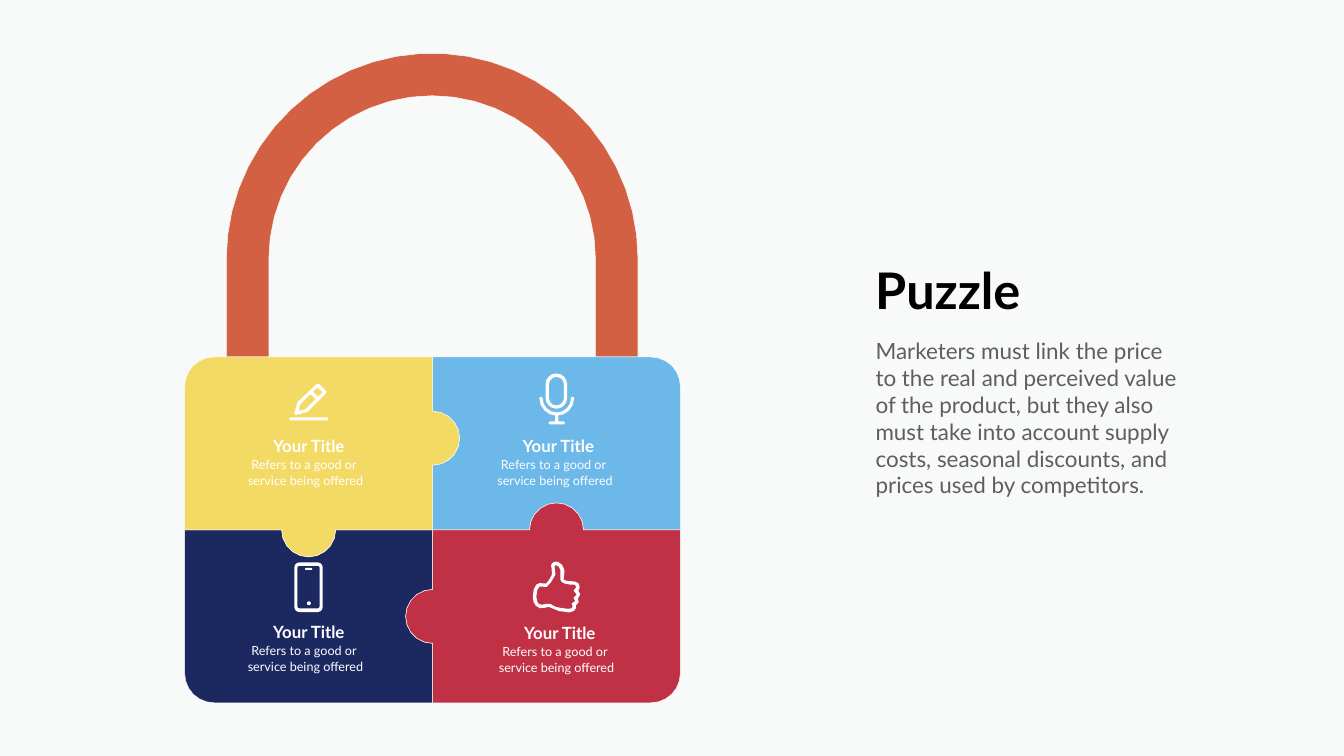
import math

import pptx
import pptx.dml.color
import pptx.enum.shapes
import pptx.enum.text
import pptx.util

Pt = pptx.util.Pt
ALIGN = pptx.enum.text.PP_ALIGN
COLORS = {
    "paper": "F8FAF9", "white": "FFFFFF", "black": "000000", "grey": "5D5E5D",
    "orange": "D36042", "blue": "6BB8E9", "navy": "1C2960",
    "red": "C13145", "yellow": "F3DA65",
}


def rgb(name):
    return pptx.dml.color.RGBColor.from_string(COLORS[name])


def arc(cx, cy, radius, start, end):
    """Points on an arc, within half a point; degrees run clockwise from the right."""
    widest = 2 * math.degrees(math.sqrt(1 / radius))
    steps = max(2, math.ceil(abs(end - start) / widest))
    angles = [math.radians(start + (end - start) * i / steps) for i in range(steps + 1)]
    return [(cx + radius * math.cos(a), cy + radius * math.sin(a)) for a in angles]


def rounded(left, top, width, height, r):
    right, bottom = left + width, top + height
    return (arc(left + r, top + r, r, 180, 270) + arc(right - r, top + r, r, 270, 360)
            + arc(right - r, bottom - r, r, 0, 90) + arc(left + r, bottom - r, r, 90, 180))


def write_text(frame, text, size=18, color="white", bold=False, align=ALIGN.LEFT):
    frame.word_wrap = True
    frame.auto_size = pptx.enum.text.MSO_AUTO_SIZE.NONE
    frame.vertical_anchor = pptx.enum.text.MSO_ANCHOR.TOP
    frame.margin_left = frame.margin_right = Pt(7.2)
    frame.margin_top = frame.margin_bottom = Pt(3.6)
    frame.text = text
    for paragraph in frame.paragraphs:
        paragraph.alignment = align
        paragraph.line_spacing = 1.0
        paragraph.space_before = Pt(0)
        font = paragraph.font
        font.name, font.size, font.bold = "Lato", Pt(size), bold
        font.color.rgb = rgb(color)


class Board:
    def __init__(self, slide):
        self.slide = slide
        slide.background.fill.solid()
        slide.background.fill.fore_color.rgb = rgb("paper")

    def title(self, text, left, top, width, height, **style):
        heading = self.slide.shapes.title
        heading.left, heading.top = Pt(left), Pt(top)
        heading.width, heading.height = Pt(width), Pt(height)
        write_text(heading.text_frame, text, **style)

    def text(self, text, left, top, width, height, **style):
        box = self.slide.shapes.add_textbox(Pt(left), Pt(top), Pt(width), Pt(height))
        write_text(box.text_frame, text, **style)

    def paint(self, shape, fill, line=None, weight=0.75):
        shape.shadow.inherit = False
        if fill:
            shape.fill.solid()
            shape.fill.fore_color.rgb = rgb(fill)
        else:
            shape.fill.background()
        if line:
            shape.line.color.rgb = rgb(line)
            shape.line.width = Pt(weight)
        else:
            shape.line.fill.background()

    def pill(self, left, top, width, height):
        """A bar with fully round ends."""
        bar = self.slide.shapes.add_shape(
            pptx.enum.shapes.MSO_SHAPE.ROUNDED_RECTANGLE,
            Pt(left), Pt(top), Pt(width), Pt(height))
        bar.adjustments[0] = 0.5
        self.paint(bar, "white")

    def outline(self, *contours, fill="white", **line):
        """One closed shape; contours after the first are holes."""
        paths = [[(Pt(x), Pt(y)) for x, y in contour] for contour in contours]
        builder = self.slide.shapes.build_freeform(*paths[0][0], scale=1.0)
        builder.add_line_segments(paths[0][1:], close=True)
        for hole in paths[1:]:
            builder.move_to(*hole[0])
            builder.add_line_segments(hole[1:], close=True)
        self.paint(builder.convert_to_shape(), fill, **line)


def draw_lock(board):
    left, mid_x, right = 263.7, 617.9, 971.7
    top, mid_y, bottom = 510, 757, 1004
    corner, knob = 42, 38.5
    knob_left, knob_right = 440.8, 794.8
    knob_upper, knob_lower = 626, 880.6

    # Shackle
    cx, cy, inner, outer = 617.2, 370, 233.3, 294
    opening = [(cx - inner, top)] + arc(cx, cy, inner, 180, 360) + [(cx + inner, top)]
    shackle = [(cx - outer, top)] + arc(cx, cy, outer, 180, 360) + [(cx + outer, top)]
    board.outline(opening, fill=None, line="white", weight=1.93)
    board.outline(shackle + opening[::-1], fill="orange", line="paper")

    # Puzzle pieces, each traced clockwise
    pieces = {
        "blue": [(mid_x, top)] + arc(right - corner, top + corner, corner, 270, 360)
        + [(right, mid_y)] + arc(knob_right, mid_y, knob, 0, -180)
        + [(mid_x, mid_y)] + arc(mid_x, knob_upper, knob, 90, -90),
        "navy": [(left, mid_y)] + arc(knob_left, mid_y, knob, 180, 0)
        + [(mid_x, mid_y)] + arc(mid_x, knob_lower, knob, 270, 90)
        + [(mid_x, bottom)] + arc(left + corner, bottom - corner, corner, 90, 180),
        "red": [(mid_x, mid_y)] + arc(knob_right, mid_y, knob, 180, 360)
        + [(right, mid_y)] + arc(right - corner, bottom - corner, corner, 0, 90)
        + [(mid_x, bottom)] + arc(mid_x, knob_lower, knob, 90, 270),
        "yellow": arc(left + corner, top + corner, corner, 180, 270)
        + [(mid_x, top)] + arc(mid_x, knob_upper, knob, -90, 90)
        + [(mid_x, mid_y)] + arc(knob_left, mid_y, knob, 0, 180) + [(left, mid_y)],
    }
    for color, piece in pieces.items():
        board.outline(piece, fill=color, line="paper")


def draw_icons(board):
    # Pencil and its line
    pencil = [(423.4, 592.6), (437.8, 589), (439.5, 588.3), (465.8, 561.6), (466.3, 560),
              (465.8, 558.7), (455.8, 548.6), (454, 547.9), (452.2, 548.6),
              (424.8, 574.6), (420.5, 589.7), (421, 591.8)]
    pencil_end = [(453.6, 553.7), (460.8, 560.2), (454.3, 566.6), (447.1, 559.4)]
    pencil_body = [(429.1, 577.4), (443.5, 563), (450.7, 570.2), (436.3, 584.6), (426.2, 586.8)]
    board.outline(pencil, pencil_end, pencil_body)
    board.pill(413.3, 596.2, 55.4, 4.4)

    # Microphone: head, cradle, stem and foot
    board.outline(rounded(779.2, 533.5, 30.8, 50.4, 15.4),
                  rounded(784, 538.4, 21.4, 41, 10.7))
    cx, cy = 795.2, 569
    board.outline(arc(cx, cy, 24.8, 0, 180) + arc(cx - 22.5, cy, 2.3, 180, 360)
                  + arc(cx, cy, 20.2, 180, 0) + arc(cx + 22.5, cy, 2.3, 180, 360))
    board.pill(cx - 2.2, 590, 4.4, 16)
    board.pill(cx - 11.5, 602, 23, 4.4)

    # Thumb
    hand = [(813, 875), (803, 873.4), (799, 873.2), (784, 867), (777.6, 868.3), (771, 868.8),
            (765.4, 865.4), (762, 860), (761, 852), (762.5, 841.5), (766, 835.2),
            (770.4, 833), (780, 833.7), (784, 828.7), (788.4, 821), (787.8, 811),
            (787, 809), (788, 805), (791.3, 802.8), (795, 802.3), (798.5, 803.5),
            (802.5, 806.8), (805, 811.4), (806.3, 816), (805, 828), (809, 829.7),
            (822.2, 831), (826.8, 834), (828, 839.5), (826, 843.8), (828.7, 849),
            (825.3, 855.4), (826.6, 860.4), (822.4, 865), (822.4, 869), (820, 872.6)]
    palm = [(800, 868.3), (811.4, 869.8), (816.5, 869), (817.9, 866.2), (816.6, 862.6),
            (818, 861), (821.5, 859), (820, 856), (819.4, 854), (821.5, 851.8),
            (823.6, 849), (821, 846), (819.4, 843.8), (821, 841.6), (823, 838.8),
            (821.3, 835.4), (815, 835.2), (807.5, 834), (802.3, 831.6), (800.4, 828),
            (800.4, 813.6), (797.5, 809), (793.4, 807.1), (792, 809.3), (793.3, 821),
            (787, 831.6), (781, 838.3), (770.4, 838.1), (767.3, 843), (766.1, 852),
            (767, 858.5), (769, 862.6), (774, 864), (781, 862.6), (785.5, 862.6), (794, 867)]
    board.outline(hand, palm)

    # Phone, its button and its speaker
    board.outline(rounded(420.5, 803.5, 40.3, 70.8, 6.8), rounded(424.9, 808.4, 31.5, 60.6, 2.2))
    board.pill(438.4, 859, 5.6, 5.6)
    board.pill(435.6, 811.4, 10.4, 2.8)


def main():
    deck = pptx.Presentation()
    deck.slide_width, deck.slide_height = Pt(1919.52), Pt(1080)
    board = Board(deck.slides.add_slide(deck.slide_layouts[5]))
    draw_lock(board)
    draw_icons(board)

    # Title and message
    board.title("Puzzle", 1242.7, 366.5, 249, 94.3, size=72, color="black", bold=True)
    board.text("Marketers must link the price to the real and perceived value of the product, "
               "but they also must take into account supply costs, seasonal discounts, and "
               "prices used by competitors.", 1243.4, 478, 447.8, 239.8, size=32, color="grey")

    # Piece captions
    for left, top in [(380.2, 618.5), (736.6, 618.5), (738.7, 885.6), (380.2, 884.2)]:
        board.text("Your Title", left, top, 121.7, 33, size=24, bold=True, align=ALIGN.CENTER)
        board.text("Refers to a good or \nservice being offered", left - 37.8, top + 31.3,
                   188, 57, align=ALIGN.CENTER)
    deck.save("out.pptx")


if __name__ == "__main__":
    main()
